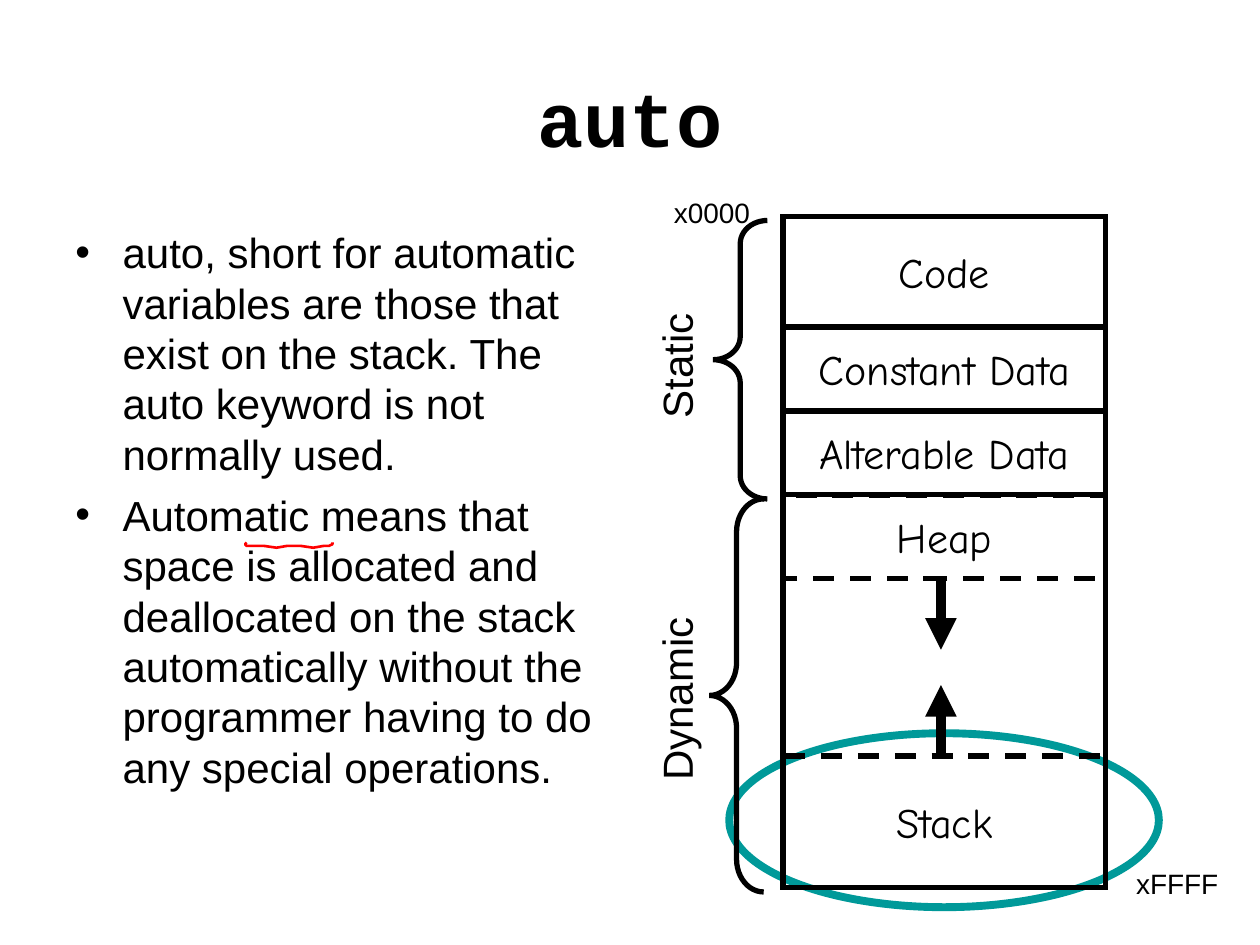
from dataclasses import dataclass

import pptx
import pptx.dml.color
import pptx.enum.dml
import pptx.enum.shapes
import pptx.enum.text
import pptx.oxml
import pptx.oxml.ns
import pptx.util

Pt = pptx.util.Pt
Shapes = pptx.enum.shapes.MSO_SHAPE
Align = pptx.enum.text.PP_ALIGN
Anchor = pptx.enum.text.MSO_ANCHOR


@dataclass(frozen=True)
class Theme:
    ink: str = "000000"
    highlight: str = "009999"
    scribble: str = "FF0000"
    sans: str = "Arial"
    hand: str = "Comic Neue"
    code: str = "Courier New"
    title_size: float = 44
    body_size: float = 24
    address_size: float = 16
    body_pitch: float = 28.8
    outline: float = 3


class MemorySlide:
    def __init__(self, slide, theme):
        self.slide = slide
        self.theme = theme

    def style_font(self, font, name, size, bold=False):
        font.name = name
        font.size = Pt(size)
        font.bold = bold
        font.color.rgb = pptx.dml.color.RGBColor.from_string(self.theme.ink)

    def style_line(self, line, color, width, dashed=False):
        line.color.rgb = pptx.dml.color.RGBColor.from_string(color)
        line.width = Pt(width)
        if dashed:
            line.dash_style = pptx.enum.dml.MSO_LINE.DASH

    def textbox(self, left, top, width, height, wrap=True):
        box = self.slide.shapes.add_textbox(Pt(left), Pt(top), Pt(width), Pt(height))
        box.text_frame.word_wrap = wrap
        return box

    def title(self, text, left, top, width, height):
        frame = self.textbox(left, top, width, height).text_frame
        frame.vertical_anchor = Anchor.MIDDLE
        frame.text = text
        paragraph = frame.paragraphs[0]
        paragraph.alignment = Align.CENTER
        self.style_font(paragraph.runs[0].font, self.theme.code, self.theme.title_size, True)

    def bullets(self, texts, left, top, width, height):
        frame = self.textbox(left, top, width, height).text_frame
        frame.text = "\n".join(texts)
        for index, paragraph in enumerate(frame.paragraphs):
            paragraph.line_spacing = Pt(self.theme.body_pitch)
            paragraph.space_before = Pt(6 if index else 0)
            properties = paragraph._p.get_or_add_pPr()
            properties.set("marL", str(Pt(27)))
            properties.set("indent", str(Pt(-27)))
            namespace = pptx.oxml.ns.nsdecls("a")
            for xml in (
                f'<a:buClr {namespace}><a:srgbClr val="{self.theme.ink}"/></a:buClr>',
                f'<a:buFont {namespace} typeface="{self.theme.sans}"/>',
                f'<a:buChar {namespace} char="•"/>',
            ):
                properties.append(pptx.oxml.parse_xml(xml))
            self.style_font(paragraph.runs[0].font, self.theme.sans, self.theme.body_size)

    def label(self, text, left, top, width, height, size, rotation=0):
        box = self.textbox(left, top, width, height, wrap=False)
        box.rotation = rotation
        box.text_frame.text = text
        self.style_font(box.text_frame.paragraphs[0].runs[0].font, self.theme.sans, size)

    def outline(self, kind, left, top, width, height, color=None, weight=None, dashed=False):
        """Add an unfilled preset shape with mitred corners."""
        shape = self.slide.shapes.add_shape(kind, Pt(left), Pt(top), Pt(width), Pt(height))
        shape.shadow.inherit = False
        shape.fill.background()
        self.style_line(shape.line, color or self.theme.ink, weight or self.theme.outline, dashed)
        namespace = pptx.oxml.ns.nsdecls("a")
        shape.line._get_or_add_ln().append(
            pptx.oxml.parse_xml(f'<a:miter {namespace} lim="800000"/>'))
        return shape

    def section(self, text, left, top, width, height, dashed=False):
        shape = self.outline(Shapes.RECTANGLE, left, top, width, height, dashed=dashed)
        frame = shape.text_frame
        frame.word_wrap = False
        frame.vertical_anchor = Anchor.MIDDLE
        frame.text = text
        paragraph = frame.paragraphs[0]
        paragraph.alignment = Align.CENTER
        self.style_font(paragraph.runs[0].font, self.theme.hand, self.theme.body_size)

    def brace(self, left, top, width, height):
        shape = self.outline(Shapes.LEFT_BRACE, left, top, width, height)
        shape.adjustments[0] = height / 12 / width

    def arrow(self, x, start, end):
        straight = pptx.enum.shapes.MSO_CONNECTOR.STRAIGHT
        connector = self.slide.shapes.add_connector(straight, Pt(x), Pt(start), Pt(x), Pt(end))
        self.style_line(connector.line, self.theme.ink, 6)
        namespace = pptx.oxml.ns.nsdecls("a")
        connector.line._get_or_add_ln().append(
            pptx.oxml.parse_xml(f'<a:tailEnd {namespace} type="triangle"/>'))
        connector._element.spPr.append(pptx.oxml.parse_xml(f"<a:effectLst {namespace}/>"))

    def scribble(self, points):
        start, *rest = points
        builder = self.slide.shapes.build_freeform(*start, scale=float(Pt(1)))
        builder.add_line_segments(rest, close=False)
        shape = builder.convert_to_shape()
        shape.shadow.inherit = False
        shape.fill.background()
        self.style_line(shape.line, self.theme.scribble, 1.5)


def main():
    presentation = pptx.Presentation()
    presentation.slide_width = Pt(720)
    presentation.slide_height = Pt(540)
    theme = Theme()
    page = MemorySlide(presentation.slides.add_slide(presentation.slide_layouts[6]), theme)

    page.title("auto", 36, 21.6, 648, 90)
    page.bullets(
        [
            "auto, short for automatic variables are those that exist on the stack. "
            "The auto keyword is not normally used.",
            "Automatic means that space is allocated and deallocated on the stack "
            "automatically without the programmer having to do any special operations.",
        ],
        36, 126, 316.8, 356.4,
    )

    left, width, top, bottom = 447.5, 184.3, 123.6, 507.4
    stack_top, arrow_x, arrow_length = 432, 537.7, 40.5
    page.outline(Shapes.OVAL, 416.7, 419, 245.5, 99.4, theme.highlight, 4.5)
    page.brace(405.4, 285.1, 31, 224.6)
    page.label("Dynamic", 331.3, 380.2, 110, 36, theme.body_size, 270)
    page.section("Stack", left, stack_top, width, bottom - stack_top, dashed=True)
    page.arrow(arrow_x, stack_top, stack_top - arrow_length)
    page.outline(Shapes.RECTANGLE, left, top, width, bottom - top)

    section_top = top
    for name, height in (("Code", 63.2), ("Constant Data", 48), ("Alterable Data", 48), ("Heap", 48)):
        page.section(name, left, section_top, width, height, dashed=name == "Heap")
        section_top += height
    page.arrow(arrow_x, section_top, section_top + arrow_length)

    page.brace(407.5, 126, 31, 159.1)
    page.label("Static", 348.3, 190.1, 76, 36, theme.body_size, 270)
    page.label("x0000", 378, 108, 61.2, 26.6, theme.address_size)
    page.label("xFFFF", 642.2, 491.8, 64, 26.6, theme.address_size)
    page.scribble([
        (141, 310.3), (140.4, 311), (141, 311.8), (147.5, 312.2), (151, 312.5),
        (158.4, 313.2), (164, 312.5), (168.5, 311.8), (172, 312.5), (179, 313.2),
        (185, 312.5), (188.5, 311.8), (190, 311), (190, 310.3),
    ])
    presentation.save("out.pptx")


if __name__ == "__main__":
    main()
